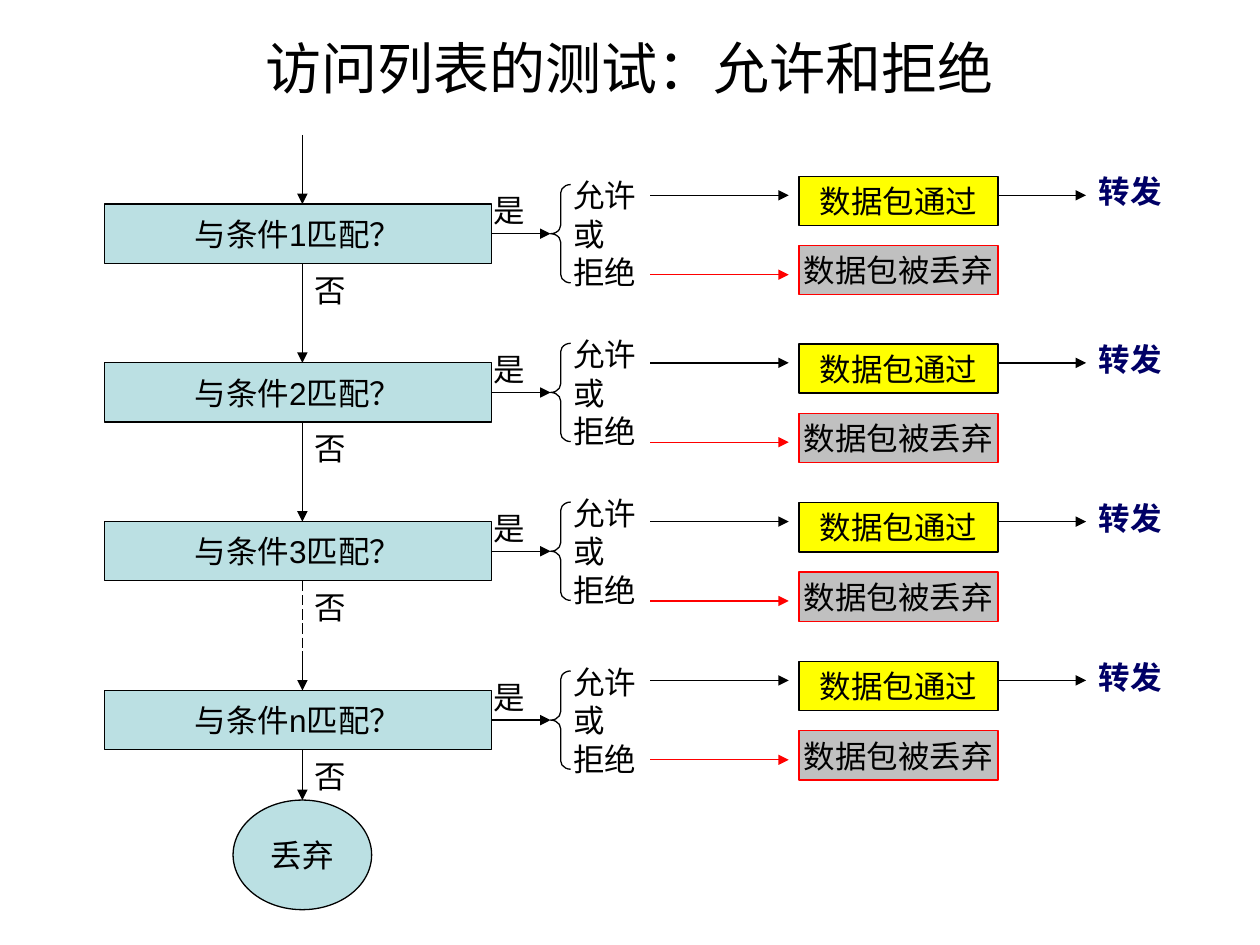
from dataclasses import dataclass
from typing import Optional

from pptx import Presentation
from pptx.dml.color import RGBColor
from pptx.enum.dml import MSO_LINE_DASH_STYLE as Dash
from pptx.enum.shapes import MSO_CONNECTOR as Connector, MSO_SHAPE as Preset
from pptx.enum.text import MSO_ANCHOR as Anchor, MSO_AUTO_SIZE as AutoSize, PP_ALIGN as Align
from pptx.oxml.ns import qn
from pptx.util import Inches, Pt
from lxml.etree import SubElement


@dataclass(frozen=True)
class Theme:
    font: str = "Arial"
    title_size: int = 32
    text_size: int = 18
    line_width: float = 0.75
    paragraph_gap: float = 11.2
    ink: str = "000000"
    match: str = "BBE0E3"
    passed: str = "FFFF00"
    dropped: str = "C0C0C0"
    deny: str = "FF0000"
    forward: str = "000066"


@dataclass(frozen=True)
class Place:
    left: float
    top: float
    width: float
    height: float

    def lengths(self) -> tuple:
        return tuple(map(Inches, (self.left, self.top, self.width, self.height)))


@dataclass(frozen=True)
class Test:
    number: str
    top: float
    permit_y: float
    dashed: bool = False


THEME = Theme()
TESTS = [
    Test("1", 1.62, 1.55),
    Test("2", 2.88, 2.88),
    Test("3", 4.14, 4.14, dashed=True),
    Test("n", 5.48, 5.40),
]
FLOW_X = 2.4
MATCH_HEIGHT = 0.47
DISCARD = Place(1.85, 6.35, 1.1, 0.87)


def write(frame, lines: list[str], align=Align.LEFT, size: int = THEME.text_size,
          color: str = THEME.ink, bold: bool = False, spacing: Optional[float] = None) -> None:
    frame.text = "\n".join(lines)
    for index, para in enumerate(frame.paragraphs):
        para.alignment = align
        para.space_before = Pt(THEME.paragraph_gap if index else 0)
        if spacing:
            para.line_spacing = spacing
        font_values = {"name": THEME.font, "size": Pt(size), "bold": bold}
        for span in para.runs:
            for name, value in font_values.items():
                setattr(span.font, name, value)
            span.font.color.rgb = RGBColor.from_string(color)


def draw_outline(line, color: str) -> None:
    line.color.rgb = RGBColor.from_string(color)
    line.width = Pt(THEME.line_width)


def add_box(slide, preset, place: Place, text: str, fill: str, outline: str = THEME.ink):
    box = slide.shapes.add_shape(preset, *place.lengths())
    box.shadow.inherit = False
    box.fill.solid()
    box.fill.fore_color.rgb = RGBColor.from_string(fill)
    draw_outline(box.line, outline)
    box.text_frame.word_wrap = False
    box.text_frame.vertical_anchor = Anchor.MIDDLE
    write(box.text_frame, [text], Align.CENTER)
    return box


def add_label(slide, place: Place, *lines: str, **style) -> None:
    frame = slide.shapes.add_textbox(*place.lengths()).text_frame
    frame.word_wrap = True
    frame.auto_size = AutoSize.SHAPE_TO_FIT_TEXT
    write(frame, list(lines), **style)


def add_line(slide, start: tuple, end: tuple, color: str = THEME.ink,
             arrow: bool = True, dash=None):
    line = slide.shapes.add_connector(Connector.STRAIGHT, *map(Inches, start + end))
    draw_outline(line.line, color)
    if dash:
        line.line.dash_style = dash
    if arrow:
        SubElement(line.line._get_or_add_ln(), qn("a:tailEnd"), type="triangle")
    SubElement(line._element.spPr, qn("a:effectLst"))
    return line


def add_brace(slide, place: Place):
    brace = slide.shapes.add_shape(Preset.LEFT_BRACE, *place.lengths())
    brace.shadow.inherit = False
    brace.fill.background()
    draw_outline(brace.line, THEME.ink)
    brace.adjustments[0] = 0.42
    return brace


def add_test(slide, test: Test) -> None:
    """Draw the condition, its yes branch and its no label."""
    middle = test.top + MATCH_HEIGHT / 2
    match = add_box(slide, Preset.RECTANGLE, Place(0.83, test.top, 3.07, MATCH_HEIGHT),
                    f"与条件{test.number}匹配？", THEME.match)
    brace = add_brace(slide, Place(4.37, middle - 0.39, 0.16, 0.78))
    yes = add_line(slide, (3.9, middle), (4.37, middle))
    yes.begin_connect(match, 3)
    yes.end_connect(brace, 1)
    add_label(slide, Place(3.82, test.top - 0.15, 0.39, 0.4), "是")
    add_label(slide, Place(FLOW_X, test.top + 0.48, 0.55, 0.4), "否")
    add_label(slide, Place(4.45, test.top - 0.14, 0.87, 0.87),
              "允许", "或", "拒绝", spacing=0.5)


def add_outcomes(slide, permit_y: float) -> None:
    """Draw the permit and deny arrows with the packet results they lead to."""
    deny_y = permit_y + 0.63
    passed_top = permit_y - 0.15
    add_line(slide, (5.16, permit_y), (6.26, permit_y))
    add_line(slide, (5.16, deny_y), (6.26, deny_y), THEME.deny)
    add_box(slide, Preset.RECTANGLE, Place(6.34, passed_top, 1.58, 0.39),
            "数据包通过", THEME.passed)
    add_box(slide, Preset.RECTANGLE, Place(6.34, passed_top + 0.55, 1.58, 0.39),
            "数据包被丢弃", THEME.dropped, THEME.deny)
    add_line(slide, (7.92, permit_y), (8.62, permit_y))
    add_label(slide, Place(8.62, permit_y - 0.23, 0.79, 0.4), "转发",
              color=THEME.forward, bold=True)


def add_flow(slide) -> None:
    """Draw the downward path through all tests to the final discard."""
    add_line(slide, (FLOW_X, 1.07), (FLOW_X, TESTS[0].top))
    discard = add_box(slide, Preset.OVAL, DISCARD, "丢弃", THEME.match)
    next_tops = [test.top for test in TESTS[1:]] + [DISCARD.top]
    for test, next_top in zip(TESTS, next_tops):
        start = test.top + MATCH_HEIGHT
        if test.dashed:
            add_line(slide, (FLOW_X, start), (FLOW_X, 5.25), arrow=False, dash=Dash.LONG_DASH)
            start = 5.17
        arrow = add_line(slide, (FLOW_X, start), (FLOW_X, next_top))
    arrow.end_connect(discard, 0)


def add_title(slide) -> None:
    title = slide.shapes.title
    lengths = Place(0.5, 0.21, 9, 0.64).lengths()
    for name, value in zip(("left", "top", "width", "height"), lengths):
        setattr(title, name, value)
    frame_values = {"word_wrap": True, "auto_size": AutoSize.NONE,
                    "vertical_anchor": Anchor.MIDDLE}
    for name, value in frame_values.items():
        setattr(title.text_frame, name, value)
    write(title.text_frame, ["访问列表的测试：允许和拒绝"], Align.CENTER, THEME.title_size)


def main() -> None:
    deck = Presentation()
    deck.slide_width, deck.slide_height = Inches(10), Inches(7.5)
    slide = deck.slides.add_slide(deck.slide_layouts[5])
    add_title(slide)
    for test in TESTS:
        add_test(slide, test)
        add_outcomes(slide, test.permit_y)
    add_flow(slide)
    deck.save("out.pptx")


if __name__ == "__main__":
    main()
